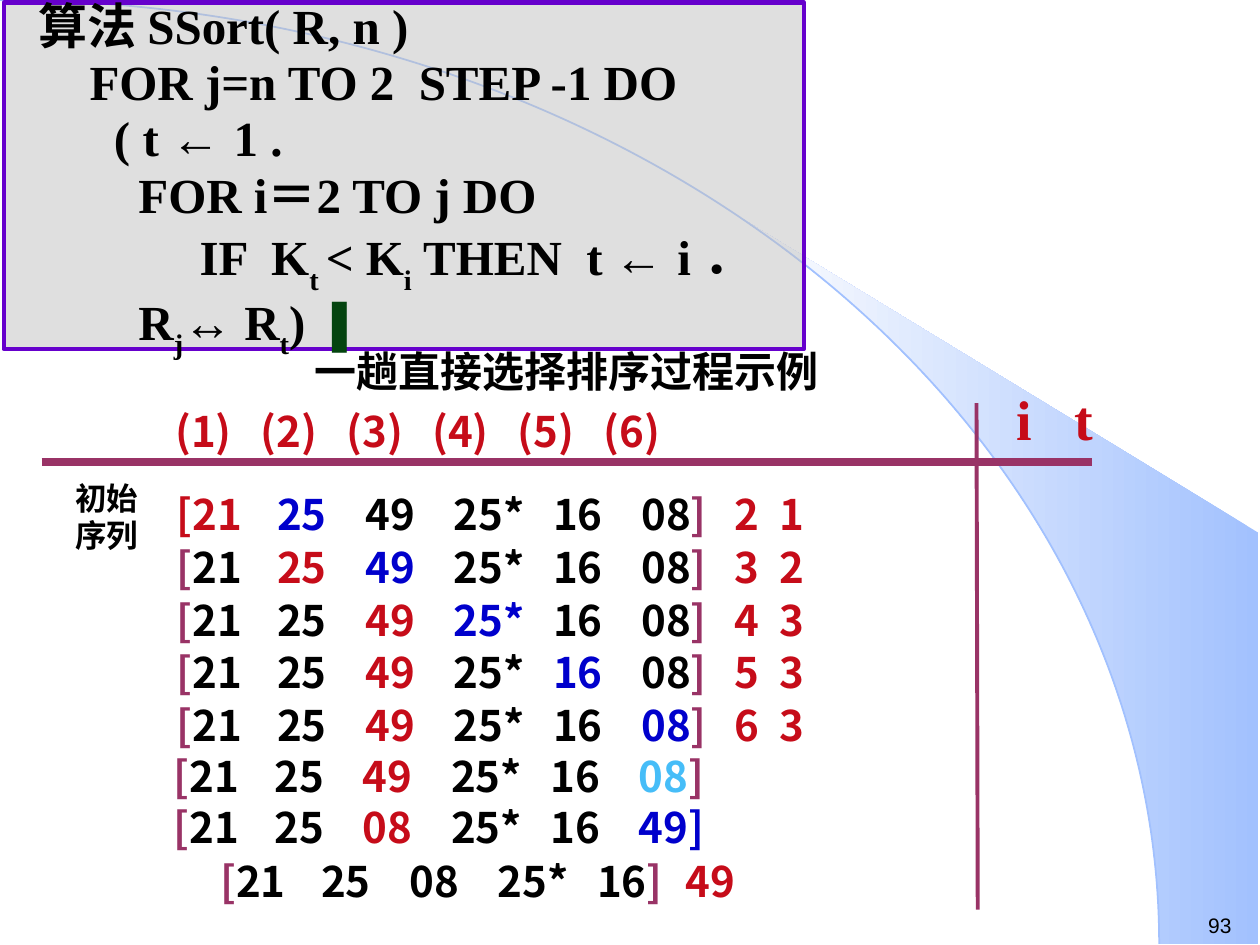
"""Build the selection sort slide: pseudocode, caption and the trace of one pass."""
import math

from lxml import etree
from pptx import Presentation
from pptx import util as u
from pptx.dml.color import RGBColor
from pptx.enum import shapes, text
from pptx.oxml.ns import qn

SANS, SERIF, ARIAL = "Noto Sans CJK SC", "Times New Roman", "Arial"
INK = {"k": "000000", "r": "C60C19", "b": "0000CC", "p": "993366", "c": "46BDF8"}
RADIUS_X, RADIUS_Y = 9.2, 7.49

CODE = [
    [("  算法 SSort( R, n )", "")],
    [("      FOR j=n TO 2  STEP -1 DO", "")],
    [("        ( t ", ""), ("← ", "arrow"), ("1 .", "")],
    [("          FOR i＝2 TO j DO", "")],
    [("               IF  K", ""), ("t ", "sub"), ("< K", ""), ("i", "sub"),
     (" THEN  t ", ""), ("← ", "arrow"), ("i ．", "")],
    [("          R", ""), ("j", "sub"), ("↔", "arrow"), (" R", ""), ("t", "sub"),
     (") ", ""), ("▐", "end")],
]

# left, inset, top, values, value inks, bracket inks, values after the bracket
TRACE = [
    (1, 0.4, 3.83, "21 25 49 25* 16 08", "rbkkkk", "rp", "2 1"),
    (1, 0.4, 4.25, "21 25 49 25* 16 08", "krbkkk", "pp", "3 2"),
    (1, 0.4, 4.67, "21 25 49 25* 16 08", "kkrbkk", "pp", "4 3"),
    (1, 0.4, 5.08, "21 25 49 25* 16 08", "kkrkbk", "pp", "5 3"),
    (1, 0.4, 5.5, "21 25 49 25* 16 08", "kkrkkb", "pp", "6 3"),
    (0.98, 0.4, 5.91, "21 25 49 25* 16 08", "kkrkkc", "pp", ""),
    (0.98, 0.4, 6.31, "21 25 08 25* 16 49", "kkrkkb", "pb", ""),
    (1.65, 0.1, 6.74, "21 25 08 25* 16", "kkkkk", "pp", "49"),
]
TRACE_TABS = [0.8, 1.5, 2.2, 2.99, 3.69, 4.43, 4.79]
RULES = [(0.33, 3.67, 8.67, 3.67, 4.5), (7.75, 3.2, 7.76, 7.22, 2.25)]


def rgb(value):
    return RGBColor.from_string(value)


def add_run(p, content, size, font, color, bold=True):
    r = p.add_run()
    r.text = content
    r.font.size, r.font.name, r.font.bold = u.Pt(size), font, bold
    r.font.color.rgb = rgb(color)
    etree.SubElement(r.font._element, qn("a:ea"), typeface=SANS)
    return r


def add_text(s, box, runs, size=24, font=SANS, inset=0.1, tabs=(), bold=True):
    sp = s.shapes.add_textbox(*map(u.Inches, box))
    tf = sp.text_frame
    tf.word_wrap = True
    tf.margin_left = u.Inches(inset)
    p = tf.paragraphs[0]
    if tabs:
        tab_list = etree.SubElement(p._p.get_or_add_pPr(), qn("a:tabLst"))
        for tab in tabs:
            etree.SubElement(tab_list, qn("a:tab"), pos=str(u.Inches(tab)), algn="l")
    for content, ink in runs:
        add_run(p, content, size, font, INK[ink], bold)
    return p


def add_backdrop(s):
    start = math.acos(5.89 / RADIUS_X)
    angles = [start * (1 - i / 24) for i in range(25)]
    curve = [(RADIUS_X * math.cos(a), RADIUS_Y * (1 - math.sin(a))) for a in angles]
    points = [tuple(map(u.Inches, pt)) for pt in curve + [(9.99, 7.49), (9.99, 4.23)]]
    builder = s.shapes.build_freeform(*points[0])
    builder.add_line_segments(points[1:], close=True)
    sp = builder.convert_to_shape()
    sp.shadow.inherit = False
    sp.line.fill.background()
    sp.fill.gradient()
    sp.fill.gradient_angle = 180
    for stop, color, position in zip(sp.fill.gradient_stops, ("A2C1FE", "FEFEFE"), (0, 1)):
        stop.color.rgb, stop.position = rgb(color), position
    box = (-RADIUS_X, 0, 2 * RADIUS_X, 2 * RADIUS_Y)
    arc = s.shapes.add_shape(shapes.MSO_SHAPE.ARC, *map(u.Inches, box))
    arc.shadow.inherit = False
    arc.fill.background()
    arc.line.color.rgb, arc.line.width = rgb("A2C1FE"), u.Pt(1)


def add_code(s):
    styles = {"": (28, SERIF, INK["k"]), "sub": (28, SERIF, INK["k"]),
              "arrow": (28, ARIAL, INK["k"]), "end": (24, ARIAL, "04440F")}
    box = (0.03, 0.02, 6.35, 2.75)
    sp = s.shapes.add_shape(shapes.MSO_SHAPE.RECTANGLE, *map(u.Inches, box))
    sp.shadow.inherit = False
    sp.fill.solid()
    sp.fill.fore_color.rgb = rgb("C0C0C0")
    color = sp.fill._xPr.find(qn("a:solidFill"))[0]
    etree.SubElement(color, qn("a:alpha"), val="50000")
    sp.line.color.rgb, sp.line.width = rgb("6600CC"), u.Pt(2.5)
    tf = sp.text_frame
    tf.word_wrap, tf.vertical_anchor = True, text.MSO_ANCHOR.TOP
    for i, line in enumerate(CODE):
        p = tf.add_paragraph() if i else tf.paragraphs[0]
        p.alignment, p.line_spacing = text.PP_ALIGN.LEFT, 0.75
        if i:
            p.space_before = u.Pt(7)
        for content, style in line:
            r = add_run(p, content, *styles[style])
            if style == "sub":
                r.font._element.set("baseline", "-30000")


def add_trace(s):
    for left, inset, top, values, inks, (opening, closing), after in TRACE:
        runs = [("[", opening)]
        for i, (value, ink) in enumerate(zip(values.split(), inks)):
            runs.append(("\t" * (i > 0) + value, ink))
        runs.append(("]", closing))
        runs += [("\t" + value, "r") for value in after.split()]
        add_text(s, (left, top, 8.08, 0.5), runs, inset=inset, tabs=TRACE_TABS)


def add_rules(s):
    for x1, y1, x2, y2, width in RULES:
        ends = map(u.Inches, (x1, y1, x2, y2))
        line = s.shapes.add_connector(shapes.MSO_CONNECTOR.STRAIGHT, *ends)
        line.line.color.rgb, line.line.width = rgb(INK["p"]), u.Pt(width)
        etree.SubElement(line._element.spPr, qn("a:effectLst"))


def main():
    prs = Presentation()
    prs.slide_width, prs.slide_height = u.Inches(10), u.Inches(7.5)
    s = prs.slides.add_slide(prs.slide_layouts[6])
    add_backdrop(s)
    add_text(s, (9.49, 7.19, 0.51, 0.3), [("93", "k")], 12, ARIAL, bold=False)
    header = "\t".join(f"({i})" for i in range(1, 7))
    add_text(s, (0.92, 3.17, 6.88, 0.5), [(header, "r")], inset=0.47,
             tabs=[0.68 * i for i in range(1, 6)])
    add_text(s, (7.75, 3, 1.17, 0.64), [("i\tt", "r")], 32, SERIF, 0.32, [0.46])
    add_rules(s)
    add_text(s, (0.5, 3.75, 0.83, 0.7), [("初始序列", "k")], 18)
    add_code(s)
    add_trace(s)
    p = add_text(s, (2.32, 2.65, 4.35, 0.54), [("一趟直接选择排序过程示例", "k")])
    p.alignment, p.line_spacing = text.PP_ALIGN.CENTER, 1.1
    prs.save("out.pptx")


if __name__ == "__main__":
    main()
